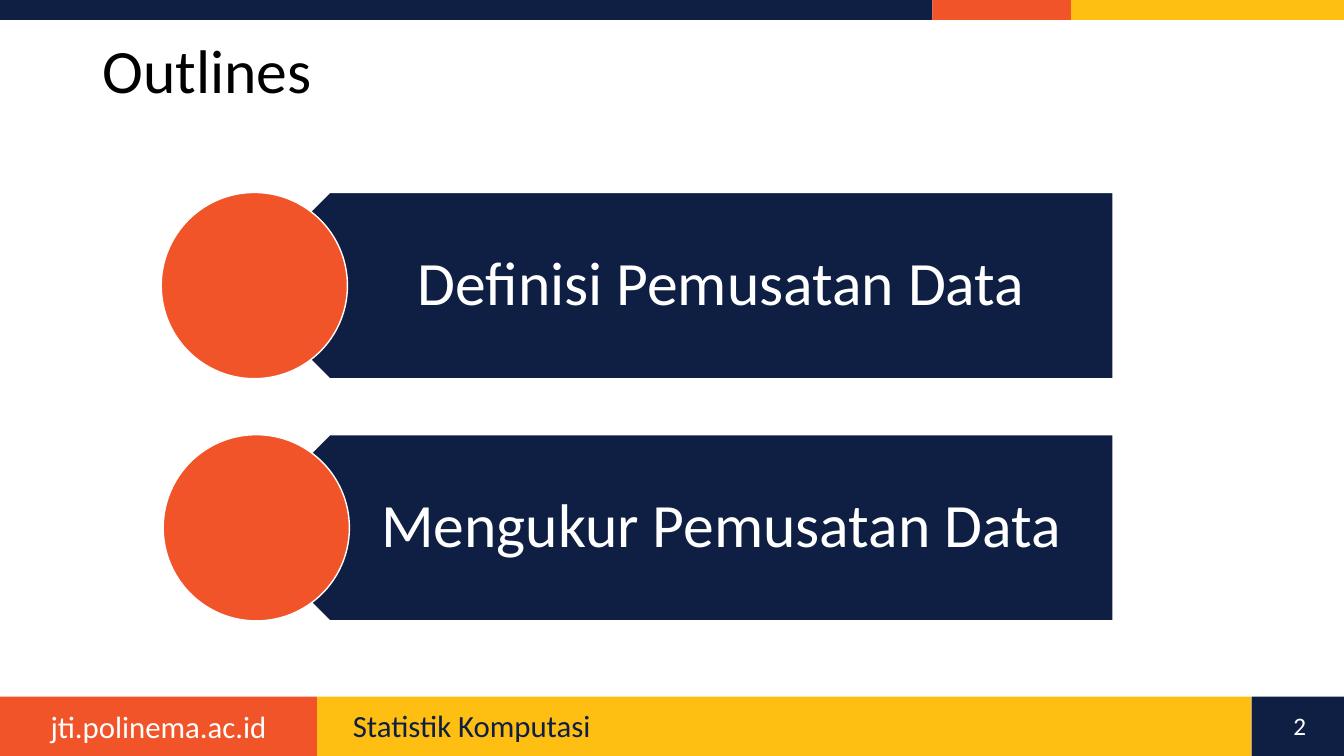
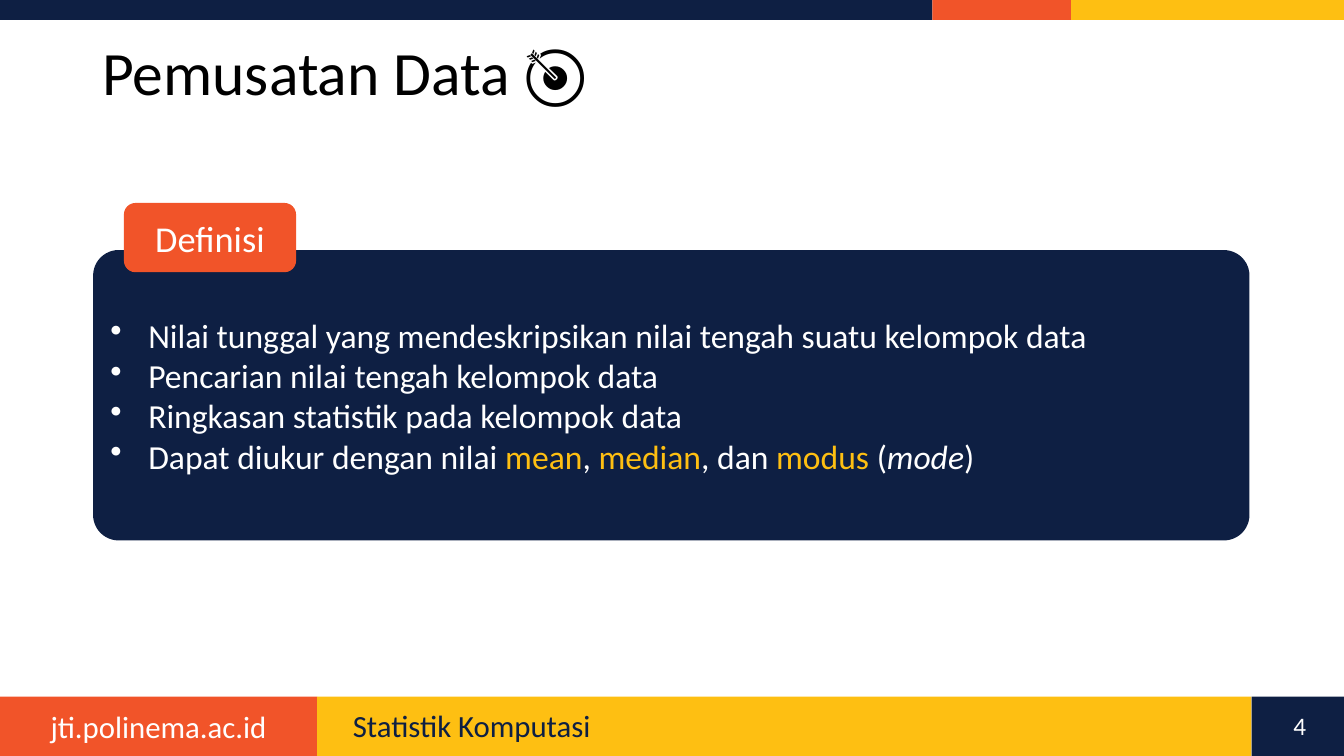
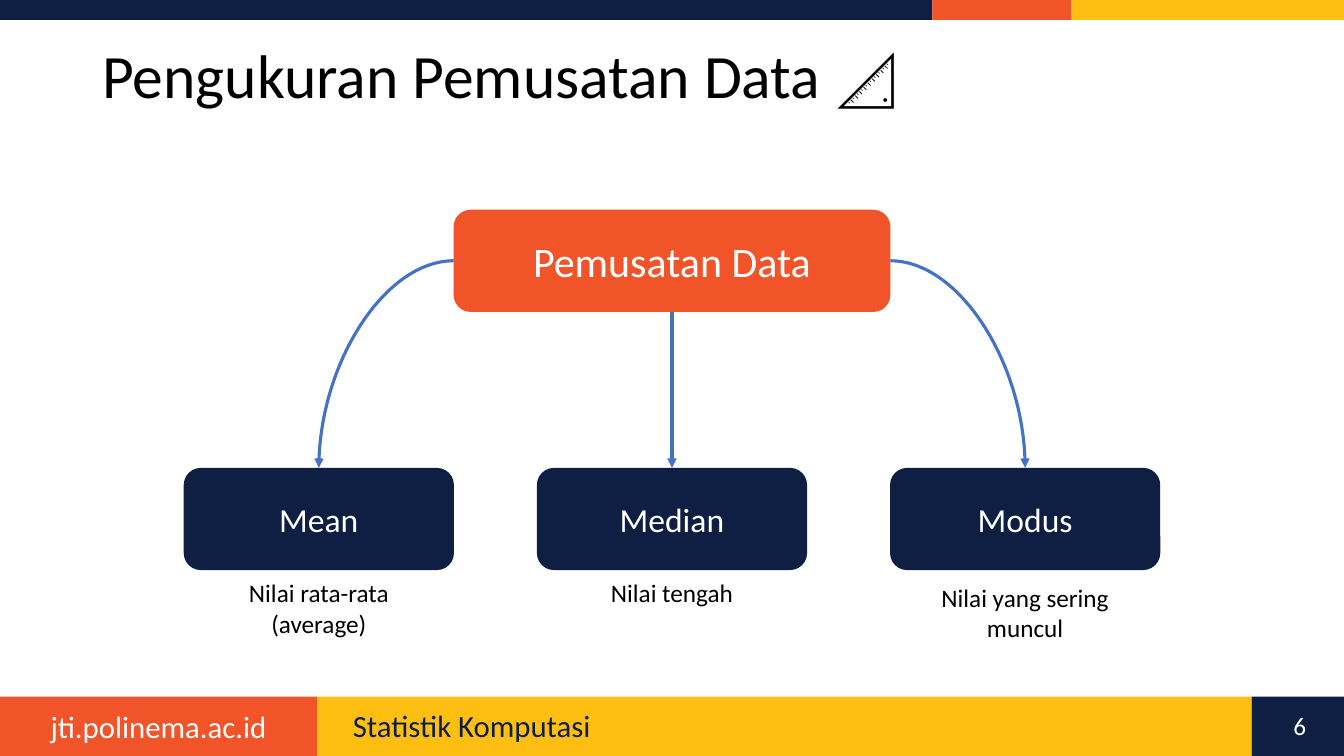
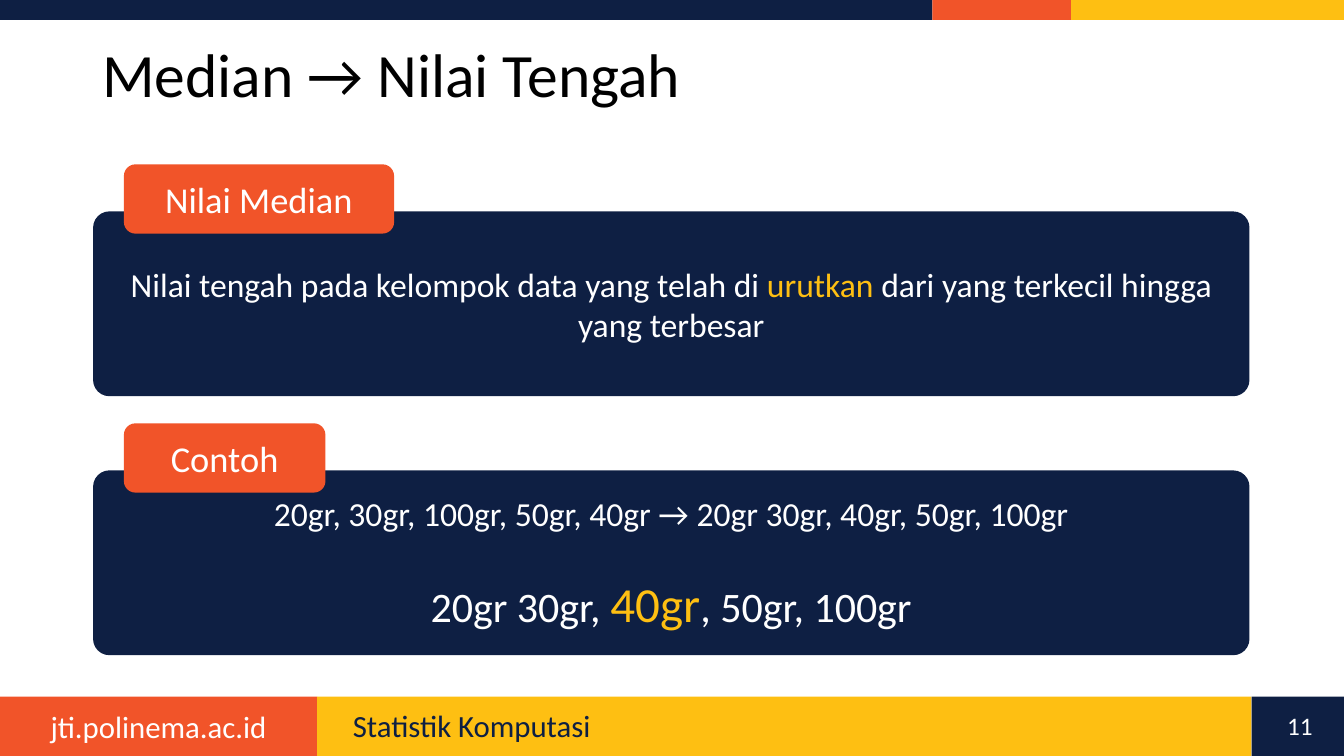
from lxml import etree
from pptx import Presentation
from pptx.dml.color import RGBColor
from pptx.enum.shapes import MSO_CONNECTOR, MSO_SHAPE
from pptx.enum.text import MSO_ANCHOR, PP_ALIGN
from pptx.oxml.ns import qn
from pptx.util import Pt

RECTANGLE, ROUNDED = MSO_SHAPE.RECTANGLE, MSO_SHAPE.ROUNDED_RECTANGLE
ELLIPSE, PENTAGON = MSO_SHAPE.OVAL, MSO_SHAPE.PENTAGON
STRAIGHT, CURVE = MSO_CONNECTOR.STRAIGHT, MSO_CONNECTOR.CURVE
LEFT, CENTER = PP_ALIGN.LEFT, PP_ALIGN.CENTER
TOP, MIDDLE = MSO_ANCHOR.TOP, MSO_ANCHOR.MIDDLE
# Connection sites of a rounded rectangle
SITE_TOP, SITE_LEFT, SITE_BOTTOM, SITE_RIGHT = range(4)

NAVY, ORANGE, YELLOW = "0E1F43", "F15429", "FEBF12"
WHITE, BLACK, BLUE = "FFFFFF", "000000", "4472C4"
WIDTH, HEIGHT = 960, 540


def rgb(color):
    return RGBColor.from_string(color)


class Slides:
    """Holds the shared style and the current slide."""

    font_name = "Calibri"
    footer_top = 497.5
    top_bands = [(0, 666, NAVY), (666, 99, ORANGE), (765, 195, YELLOW)]
    footer_bands = [(0, 226.5, ORANGE), (226.5, 667.5, YELLOW), (894, 66, NAVY)]

    def __init__(self):
        self.deck = Presentation()
        self.deck.slide_width, self.deck.slide_height = Pt(WIDTH), Pt(HEIGHT)
        self.page = None

    def new_page(self, title, number, title_height):
        """Start a page with its bands, footer and title."""
        self.page = self.deck.slides.add_slide(self.deck.slide_layouts[6])
        for left, width, color in self.top_bands:
            self.shape(RECTANGLE, left, 0, width, 14.25, color)
        for left, width, color in self.footer_bands:
            self.shape(RECTANGLE, left, self.footer_top, width,
                       HEIGHT - self.footer_top, color)
        self.text(0, 502, 226.5, 34, ["jti.polinema.ac.id"], 22, WHITE)
        self.text(245, 504, 629, 29, ["Statistik Komputasi"], 22, NAVY,
                  align=LEFT, spacing=0.9)
        self.text(906.5, 504, 44, 29, [number], 18, WHITE)
        self.text(66, 28.8, 737, title_height, [title], 44, BLACK,
                  align=LEFT, spacing=0.9, anchor=MIDDLE)

    def fill_text(self, frame, lines, size, color, align=CENTER, anchor=MIDDLE,
                  spacing=None, gap=0, bullet=None):
        """Fill a frame; a line is a string or a list of (text, format)."""
        frame.word_wrap = True
        frame.vertical_anchor = anchor
        for index, line in enumerate(lines):
            para = frame.add_paragraph() if index else frame.paragraphs[0]
            if bullet:
                properties = para._p.get_or_add_pPr()
                properties.set("marL", str(Pt(27)))
                properties.set("indent", str(-Pt(27)))
                etree.SubElement(properties, qn("a:buChar")).set("char", bullet)
            para.alignment = align
            if spacing:
                para.line_spacing = spacing
            if index and gap:
                para.space_before = Pt(gap)
            for text, changes in [(line, {})] if isinstance(line, str) else line:
                span = para.add_run()
                span.text = text
                values = {"name": self.font_name, "size": Pt(size), **changes}
                span.font.color.rgb = rgb(values.pop("color", color))
                for key, value in values.items():
                    setattr(span.font, key, value)

    def shape(self, kind, left, top, width, height, fill, outline=None):
        box = self.page.shapes.add_shape(
            kind, Pt(left), Pt(top), Pt(width), Pt(height))
        box.shadow.inherit = False
        box.fill.solid()
        box.fill.fore_color.rgb = rgb(fill)
        if outline:
            box.line.color.rgb = rgb(outline)
            box.line.width = Pt(1)
        else:
            box.line.fill.background()
        return box

    def text(self, left, top, width, height, lines, size, color,
             margins=(7.2, 3.6, 7.2, 3.6), anchor=TOP, **style):
        box = self.page.shapes.add_textbox(
            Pt(left), Pt(top), Pt(width), Pt(height))
        frame = box.text_frame
        for side, margin in zip(("left", "top", "right", "bottom"), margins):
            setattr(frame, f"margin_{side}", Pt(margin))
        self.fill_text(frame, lines, size, color, anchor=anchor, **style)

    def node(self, left, top, width, height, fill, label, size):
        box = self.shape(ROUNDED, left, top, width, height, fill)
        self.fill_text(box.text_frame, [label], size, WHITE)
        return box

    def panel(self, top, height, lines, tag, tag_width, **style):
        """A wide navy panel with an orange tag over its upper edge."""
        left = 66.5
        box = self.shape(ROUNDED, left, top, 826, height, NAVY)
        box.adjustments[0] = 0.088
        self.fill_text(box.text_frame, lines, 24, WHITE, **style)
        self.node(left + 22, top - 33.6, tag_width, 49.5, ORANGE, tag, 26)

    def banner(self, top, circle_left, label):
        height = 133
        arrow = self.shape(PENTAGON, 169, top, 626, height, NAVY, WHITE)
        arrow.rotation = 180
        self.text(202, top, 593, height, [label], 44, WHITE,
                  margins=(58, 13, 24.5, 13), anchor=MIDDLE, spacing=0.9)
        self.shape(ELLIPSE, circle_left, top, height, height, ORANGE, WHITE)

    def arrow(self, kind, source, source_site, target):
        line = self.page.shapes.add_connector(kind, 0, 0, 0, 0)
        line.begin_connect(source, source_site)
        line.end_connect(target, SITE_TOP)
        line.line.color.rgb = rgb(BLUE)
        line.line.width = Pt(2.25)
        properties = line._element.spPr
        if kind == CURVE:
            properties.find(qn("a:prstGeom")).set("prst", "curvedConnector2")
        head = etree.SubElement(properties.get_or_add_ln(), qn("a:tailEnd"))
        head.set("type", "triangle")
        etree.SubElement(properties, qn("a:effectLst"))


def outline_page(slides):
    slides.new_page("Outlines", "2", 47.5)
    slides.banner(137.5, 115.2, "Definisi Pemusatan Data")
    slides.banner(310.5, 116.6, "Mengukur Pemusatan Data")


def definition_page(slides):
    slides.new_page("Pemusatan Data 🎯", "4", 51)
    accent = {"color": YELLOW}
    slides.panel(178.6, 207.4, [
        "Nilai tunggal yang mendeskripsikan nilai tengah suatu kelompok data",
        "Pencarian nilai tengah kelompok data",
        "Ringkasan statistik pada kelompok data",
        [("Dapat diukur dengan nilai ", {}), ("mean", accent), (", ", {}),
         ("median", accent), (", dan ", {}), ("modus", accent), (" (", {}),
         ("mode", {"italic": True}), (")", {})],
    ], "Definisi", 123, align=LEFT, bullet="•")


def measures_page(slides):
    slides.new_page("Pengukuran Pemusatan Data 📐", "6", 54)
    root = slides.node(324, 149.8, 312, 73, ORANGE, "Pemusatan Data", 30)
    measures = [
        ("Mean", ["Nilai rata-rata", "(average)"], 409, CURVE, SITE_LEFT),
        ("Median", ["Nilai tengah"], 409, STRAIGHT, SITE_BOTTOM),
        ("Modus", ["Nilai yang sering muncul"], 412.5, CURVE, SITE_RIGHT),
    ]
    width, step, note_width = 193, 252.25, 169
    for index, (name, note, note_top, kind, site) in enumerate(measures):
        center = WIDTH / 2 + (index - 1) * step
        box = slides.node(center - width / 2, 334.2, width, 73, NAVY, name, 24)
        slides.arrow(kind, root, site, box)
        slides.text(center - note_width / 2, note_top, note_width, 51,
                    note, 18, BLACK)


def median_page(slides):
    slides.new_page("Median → Nilai Tengah", "11", 53.5)
    slides.panel(151, 132, [
        [("Nilai tengah pada kelompok data yang telah di ", {}),
         ("urutkan ", {"color": YELLOW}),
         ("dari yang terkecil hingga yang terbesar", {})],
    ], "Nilai Median", 193)
    large = {"size": Pt(30)}
    slides.panel(336, 132, [
        "20gr, 30gr, 100gr, 50gr, 40gr → 20gr 30gr, 40gr, 50gr, 100gr",
        [("20gr 30gr, ", large), ("40gr", {"size": Pt(35), "color": YELLOW}),
         (", 50gr, 100gr", large)],
    ], "Contoh", 144, gap=29)


def main():
    slides = Slides()
    for build in (outline_page, definition_page, measures_page, median_page):
        build(slides)
    slides.deck.save("out.pptx")


if __name__ == "__main__":
    main()
